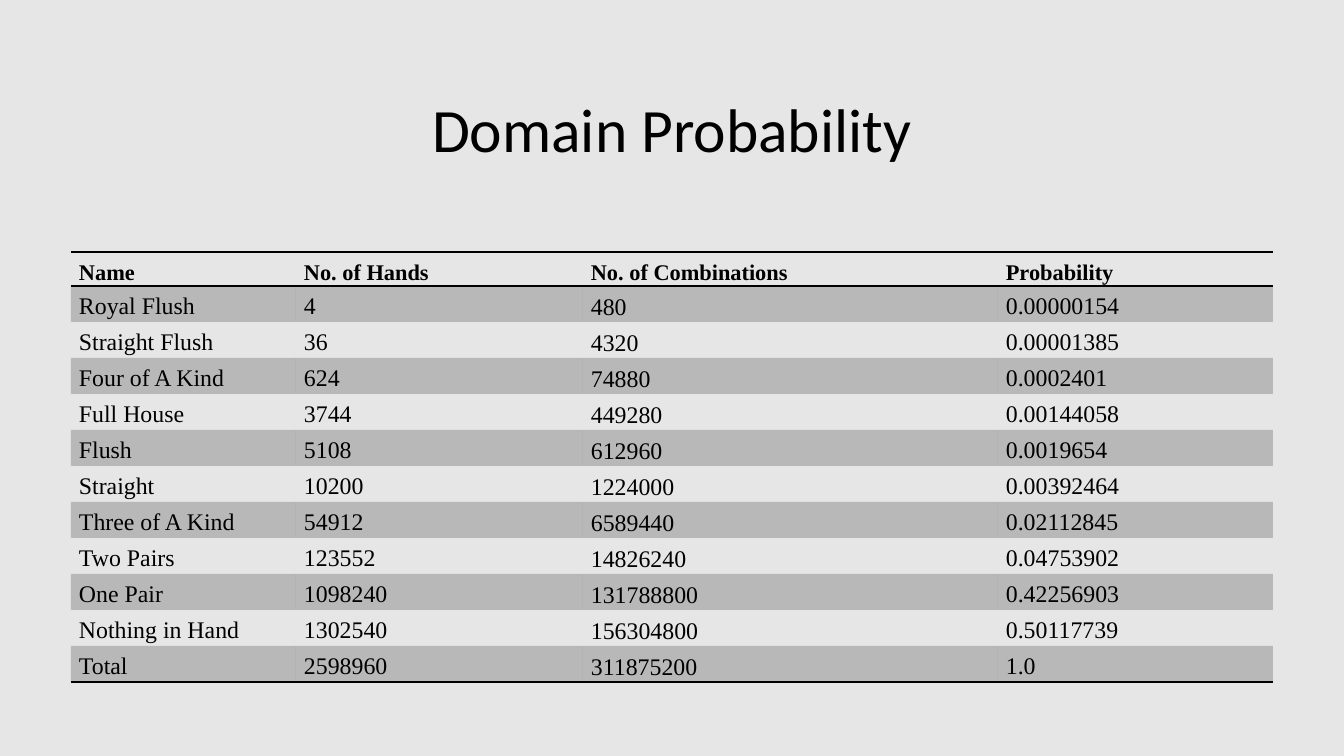
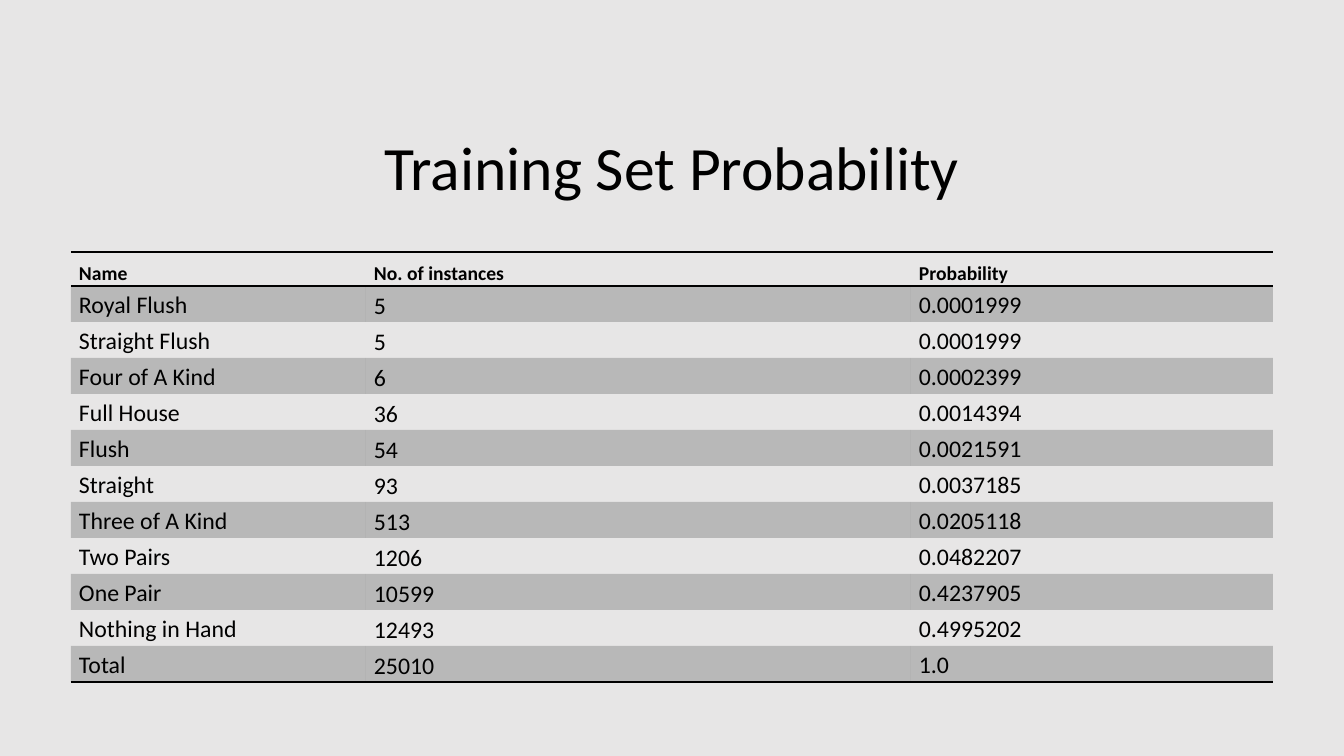
from lxml.etree import SubElement
from pptx import Presentation
from pptx.dml.color import RGBColor
from pptx.enum.text import MSO_ANCHOR as ANCHOR, MSO_AUTO_SIZE as AUTO, PP_ALIGN as ALIGN
from pptx.oxml import parse_xml
from pptx.oxml.ns import nsdecls, qn
from pptx.util import Emu, Pt

PX = 12192000 / 1344
INK, PAPER = "000000", "E7E6E6"
NO_STYLE = "{2D5ABB26-0587-4C30-8999-92F81FD0307C}"
LEFT, TABLE_TOP, WIDTH = 71, 252, 1202
HEADER_H, ROW_H = 34, 36
HANDS = ["Royal Flush", "Straight Flush", "Four of A Kind", "Full House", "Flush", "Straight",
         "Three of A Kind", "Two Pairs", "One Pair", "Nothing in Hand", "Total"]


def px(n):
    return Emu(round(n * PX))


def rgb(value):
    return RGBColor.from_string(value)


class Deck:
    """Hold the shared style and the slide being built."""

    def __init__(self):
        self.prs = Presentation()
        self.prs.slide_width, self.prs.slide_height = px(1344), px(756)
        fill = self.prs.slide_master.background.fill
        fill.solid()
        fill.fore_color.rgb = rgb(PAPER)

    def style(self, p, font, size, bold=False):
        p.font.name, p.font.size, p.font.bold = font, Pt(size), bold
        p.font.color.rgb = rgb(INK)

    def slide(self, title, space_below=5):
        self.s = self.prs.slides.add_slide(self.prs.slide_layouts[5])
        sp = self.s.shapes.title
        sp.left, sp.top, sp.width, sp.height = px(LEFT), px(89), px(WIDTH), px(163)
        tf = sp.text_frame
        tf.text = title
        tf.auto_size, tf.vertical_anchor = AUTO.NONE, ANCHOR.MIDDLE
        tf.margin_top, tf.margin_bottom = px(5), px(space_below)
        p = tf.paragraphs[0]
        p.alignment, p.line_spacing = ALIGN.CENTER, 0.9
        self.style(p, "Calibri", 44)

    def rule(self, cell, side):
        line = parse_xml(
            f'<a:ln{side} {nsdecls("a")} w="12700"><a:solidFill><a:srgbClr val="{INK}"/>'
            f'</a:solidFill></a:ln{side}>')
        tcPr = cell._tc.get_or_add_tcPr()
        tcPr.insert(len(tcPr.findall(qn("a:lnT"))), line)

    def shade(self, cell, opacity):
        cell.fill.solid()
        cell.fill.fore_color.rgb = rgb(INK)
        color = next(cell._tc.tcPr.iter(qn("a:srgbClr")))
        SubElement(color, qn("a:alpha"), val=str(opacity * 1000))

    def cell(self, cell, text, font, size, bold, middle):
        cell.text = text
        cell.margin_left = cell.margin_right = px(8)
        cell.margin_top, cell.margin_bottom = Pt(12), 0
        cell.vertical_anchor = ANCHOR.MIDDLE if middle else ANCHOR.TOP
        p = cell.text_frame.paragraphs[0]
        p.line_spacing = Pt(12)
        self.style(p, font, size, bold)

    def table(self, header, columns, widths, font, header_size, middle_col):
        rows = [header, *zip(*columns)]
        last = len(rows) - 1
        frame = self.s.shapes.add_table(len(rows), len(header), px(LEFT), px(TABLE_TOP),
                                        px(WIDTH), px(HEADER_H + last * ROW_H))
        table = frame.table
        table.first_row = table.horz_banding = False
        table._tbl.tblPr.find(qn("a:tableStyleId")).text = NO_STYLE
        for column, width in zip(table.columns, widths):
            column.width = px(width)
        for i, values in enumerate(rows):
            head = i == 0
            table.rows[i].height = px(HEADER_H if head else ROW_H)
            for j, text in enumerate(values):
                cell = table.cell(i, j)
                self.cell(cell, text, font, header_size if head else 17, head,
                          not head and j == middle_col)
                if i % 2:
                    self.shade(cell, 20)
                else:
                    cell.fill.background()
                if head:
                    self.rule(cell, "T")
                if i in (0, last):
                    self.rule(cell, "B")


def main():
    deck = Deck()
    deck.slide("Domain Probability", space_below=81)
    deck.table(
        ["Name", "No. of Hands", "No. of Combinations", "Probability"],
        [HANDS,
         ["4", "36", "624", "3744", "5108", "10200", "54912", "123552", "1098240", "1302540",
          "2598960"],
         ["480", "4320", "74880", "449280", "612960", "1224000", "6589440", "14826240",
          "131788800", "156304800", "311875200"],
         ["0.00000154", "0.00001385", "0.0002401", "0.00144058", "0.0019654", "0.00392464",
          "0.02112845", "0.04753902", "0.42256903", "0.50117739", "1.0"]],
        [225, 287, 415, 275], "Times New Roman", 16, middle_col=2)

    deck.slide("Training Set Probability")
    deck.table(
        ["Name", "No. of instances", "Probability"],
        [HANDS,
         ["5", "5", "6", "36", "54", "93", "513", "1206", "10599", "12493", "25010"],
         ["0.0001999", "0.0001999", "0.0002399", "0.0014394", "0.0021591", "0.0037185",
          "0.0205118", "0.0482207", "0.4237905", "0.4995202", "1.0"]],
        [295, 545, 362], "Calibri", 14, middle_col=1)
    deck.prs.save("out.pptx")


if __name__ == "__main__":
    main()
